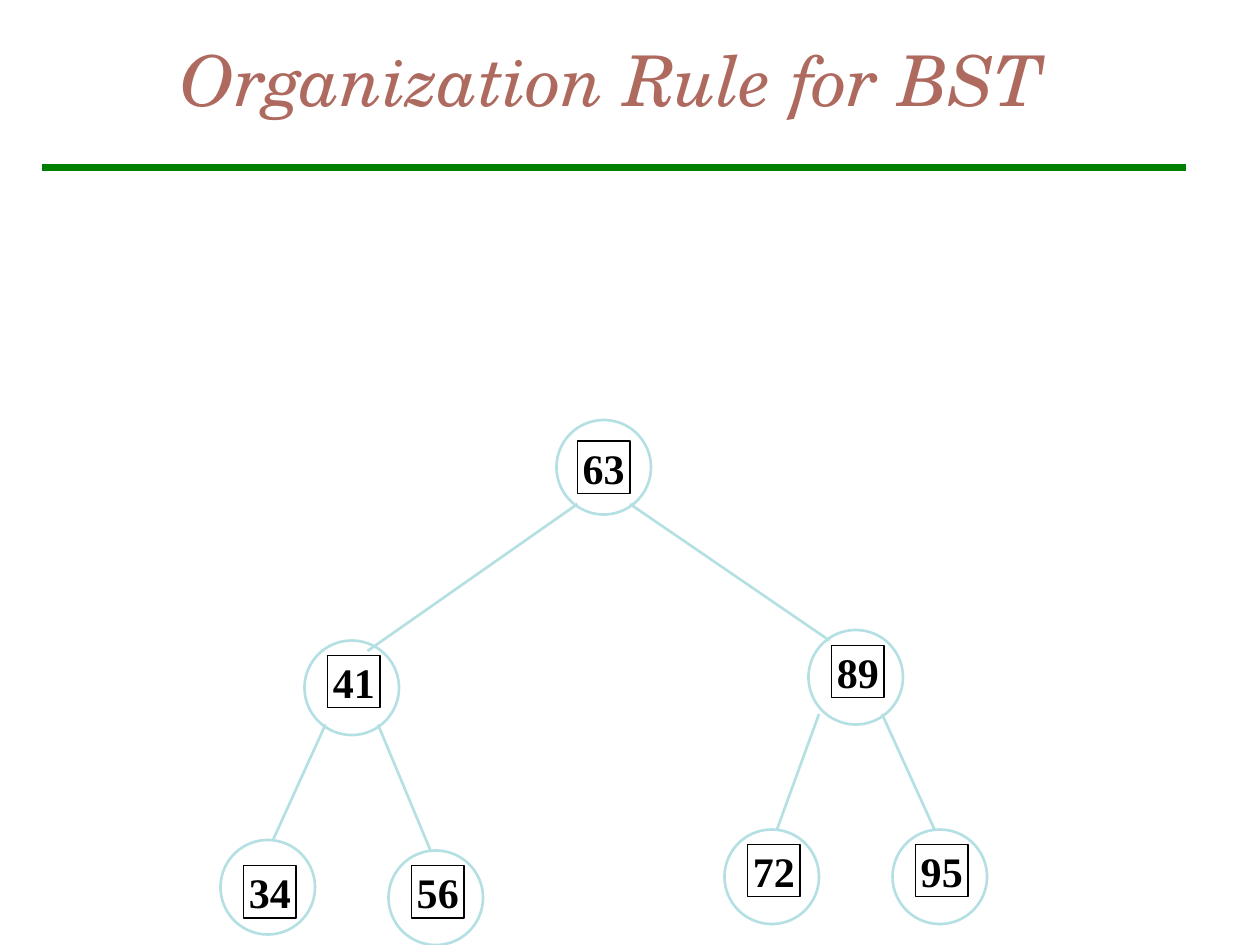
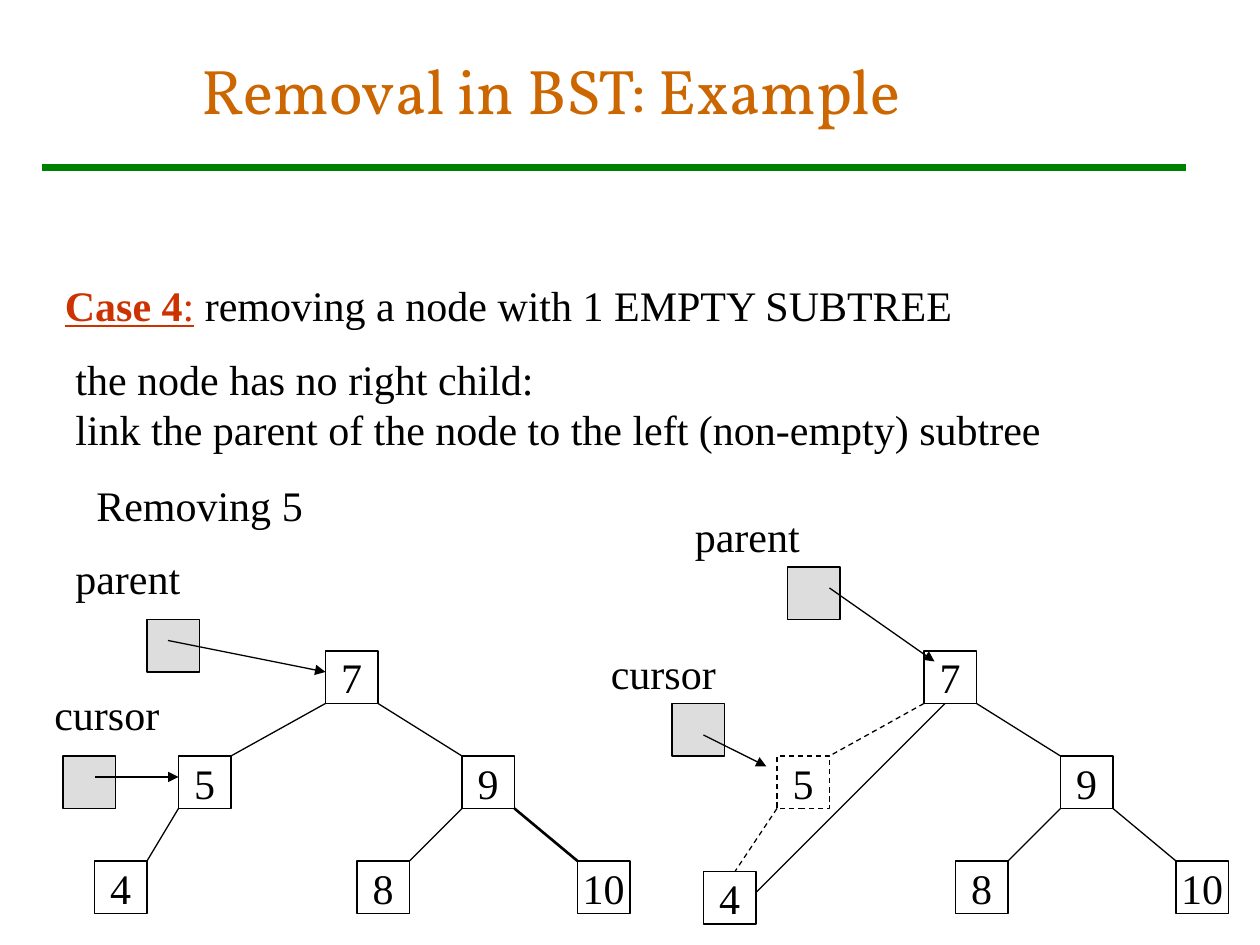
import lxml.etree
import pptx
import pptx.dml.color
import pptx.enum.dml
import pptx.enum.shapes
import pptx.enum.text
import pptx.oxml.ns
import pptx.util

Pt = pptx.util.Pt
qn = pptx.oxml.ns.qn
SHAPES = pptx.enum.shapes.MSO_SHAPE
ALIGN = pptx.enum.text.PP_ALIGN
ANCHOR = pptx.enum.text.MSO_ANCHOR
AUTO_SIZE = pptx.enum.text.MSO_AUTO_SIZE
DASH = pptx.enum.dml.MSO_LINE.DASH

COLORS = {
    "rule": "008000",
    "ring": "B5E0E3",
    "ink": "000000",
    "pointer": "DDDDDD",
    "case": "CC3300",
    "rule_title": "AF6A5F",
    "removal_title": "CC6600",
}
BODY_FONT = "Times New Roman"
BOX = 30
RING = 54
LABEL_SIZE = (78, 36)

ORGANIZATION_TITLE = {
    "text": "Organization Rule for BST", "place": (96, 0, 612, 90),
    "font": "TeX Gyre Schola", "size": 40, "color": "rule_title", "italic": True,
}
REMOVAL_TITLE = {
    "text": "Removal in BST: Example", "place": (108, 6, 612, 90),
    "font": "Vollkorn", "size": 36, "color": "removal_title", "italic": False,
}

KEY_BOXES = {
    "63": (330, 252), "41": (187.2, 374.5), "89": (475.2, 368.7), "34": (139.2, 494.6),
    "56": (235.2, 494.6), "72": (427.2, 482.5), "95": (523.2, 482.5),
}
KEY_RINGS = {
    "63": (318, 240), "41": (174, 366), "89": (462, 360), "34": (126, 480),
    "56": (222, 486), "72": (414, 474), "95": (510, 474),
}
RING_EDGES = [
    ("63", (12, 48), "41", (36, 6)),
    ("63", (42, 48), "89", (12, 6)),
    ("41", (12, 48), "34", (30, 0)),
    ("41", (42, 48), "56", (24, 0)),
    ("89", (6, 48), "72", (30, 0)),
    ("89", (42, 48), "95", (24, 0)),
]

NODES = {"7": (186, 372), "5": (102, 432), "9": (264, 432), "8": (204, 492), "10": (330, 492)}
LEFT_CHILDREN = [("7", "5"), ("9", "8")]
RIGHT_CHILDREN = [("7", "9"), ("9", "10")]
TREES = [
    {"shift": 0, "removed": None, "leaf": (54, 492), "bold_edge": ("9", "10"),
     "leaf_edges": [((102, 462), (84, 492), False)]},
    {"shift": 342, "removed": "5", "leaf": (402, 498), "bold_edge": None,
     "leaf_edges": [((444, 462), (420, 498), True), ((540, 402), (432, 510), False)]},
]
POINTERS = [
    {"label": "parent", "label_at": (36, 312), "box": (84, 354), "arrow": ((96, 366), (186, 384))},
    {"label": "cursor", "label_at": (24, 390), "box": (36, 432), "arrow": ((54, 444), (102, 444))},
    {"label": "parent", "label_at": (390, 288), "box": (450, 324), "arrow": ((474, 336), (534, 378))},
    {"label": "cursor", "label_at": (342, 366), "box": (384, 402), "arrow": ((402, 420), (438, 438))},
]
CASE_RUNS = [
    ("Case", True, True), (" ", False, True), ("4", True, True), (":", False, True),
    (" removing a node with 1 EMPTY SUBTREE", False, False),
]
EXPLANATION = [
    "the node has no right child:",
    "link the parent of the node to the left (non-empty) subtree",
]


def color(name):
    return pptx.dml.color.RGBColor.from_string(COLORS[name])


def format_font(font, size=24, name=BODY_FONT, ink="ink", bold=False, italic=False):
    font.size = Pt(size)
    font.name = name
    font.color.rgb = color(ink)
    font.bold = bold
    font.italic = italic


def format_line(line, ink, width, dashed=False):
    line.color.rgb = color(ink)
    line.width = Pt(width)
    if dashed:
        line.dash_style = DASH


def add_line(slide, start, end, ink="ink", width=0.75, dashed=False, arrow=False):
    connector = slide.shapes.add_connector(
        pptx.enum.shapes.MSO_CONNECTOR.STRAIGHT, *map(Pt, start + end))
    format_line(connector.line, ink, width, dashed)
    properties = connector.element.spPr
    if arrow:
        lxml.etree.SubElement(properties.find(qn("a:ln")), qn("a:tailEnd"), type="triangle")
    lxml.etree.SubElement(properties, qn("a:effectLst"))


def add_outline(slide, kind, place, size, ink="ink", width=0.75, fill=None, dashed=False):
    shape = slide.shapes.add_shape(kind, *map(Pt, place + (size, size)))
    shape.shadow.inherit = False
    if fill:
        shape.fill.solid()
        shape.fill.fore_color.rgb = color(fill)
    else:
        shape.fill.background()
    format_line(shape.line, ink, width, dashed)
    return shape


def add_key_box(slide, key, place, bold=False, dashed=False):
    shape = add_outline(slide, SHAPES.RECTANGLE, place, BOX, dashed=dashed)
    frame = shape.text_frame
    frame.word_wrap = False
    frame.vertical_anchor = ANCHOR.MIDDLE
    paragraph = frame.paragraphs[0]
    paragraph.text = key
    paragraph.alignment = ALIGN.CENTER
    format_font(paragraph.font, bold=bold)


def add_text(slide, place, lines):
    frame = slide.shapes.add_textbox(*map(Pt, place)).text_frame
    frame.word_wrap = False
    frame.auto_size = AUTO_SIZE.NONE
    for index, line in enumerate(lines):
        paragraph = frame.add_paragraph() if index else frame.paragraphs[0]
        paragraph.text = line
        paragraph.alignment = ALIGN.LEFT
        paragraph.line_spacing = Pt(29)
        format_font(paragraph.font)
    return frame


def add_titled_slide(presentation, title):
    slide = presentation.slides.add_slide(presentation.slide_layouts[5])
    add_line(slide, (24, 96), (678, 96), "rule", 4)
    shape = slide.shapes.title
    shape.left, shape.top, shape.width, shape.height = map(Pt, title["place"])
    frame = shape.text_frame
    frame.auto_size = AUTO_SIZE.NONE
    frame.word_wrap = True
    frame.vertical_anchor = ANCHOR.MIDDLE
    paragraph = frame.paragraphs[0]
    paragraph.text = title["text"]
    paragraph.alignment = ALIGN.LEFT
    format_font(paragraph.font, title["size"], title["font"], title["color"], italic=title["italic"])
    return slide


def offset(place, distance):
    return place[0] + distance[0], place[1] + distance[1]


def build_organization(presentation):
    slide = add_titled_slide(presentation, ORGANIZATION_TITLE)
    for key, place in KEY_BOXES.items():
        add_key_box(slide, key, place, bold=True)
    for place in KEY_RINGS.values():
        add_outline(slide, SHAPES.OVAL, place, RING, "ring", 1.5)
    for parent, start, child, end in RING_EDGES:
        add_line(slide, offset(KEY_RINGS[parent], start), offset(KEY_RINGS[child], end), "ring", 1.5)


def add_tree(slide, tree):
    nodes = {key: offset(place, (tree["shift"], 0)) for key, place in NODES.items()}
    for children, start_x, end_x in ((LEFT_CHILDREN, 0, BOX), (RIGHT_CHILDREN, BOX, 0)):
        for parent, child in children:
            add_line(slide, offset(nodes[parent], (start_x, BOX)), offset(nodes[child], (end_x, 0)),
                     width=1.5 if (parent, child) == tree["bold_edge"] else 0.75,
                     dashed=child == tree["removed"])
    for key, place in nodes.items():
        add_key_box(slide, key, place, dashed=key == tree["removed"])
    add_key_box(slide, "4", tree["leaf"])
    for start, end, dashed in tree["leaf_edges"]:
        add_line(slide, start, end, dashed=dashed)


def build_removal(presentation):
    slide = add_titled_slide(presentation, REMOVAL_TITLE)
    for tree in TREES:
        add_tree(slide, tree)
    for pointer in POINTERS:
        add_outline(slide, SHAPES.RECTANGLE, pointer["box"], BOX, fill="pointer")
        add_text(slide, pointer["label_at"] + LABEL_SIZE, [pointer["label"]])
        add_line(slide, *pointer["arrow"], arrow=True)
    add_text(slide, (36, 198, 572, 65), EXPLANATION)
    add_text(slide, (48, 270, 138, 36), ["Removing 5"])
    paragraph = add_text(slide, (30, 156, 528, 36), [""]).paragraphs[0]
    for text, bold, marked in CASE_RUNS:
        run = paragraph.add_run()
        run.text = text
        format_font(run.font, ink="case" if marked else "ink", bold=bold)
        run.font.underline = marked


def main():
    presentation = pptx.Presentation()
    presentation.slide_width = Pt(720)
    presentation.slide_height = Pt(540)
    build_organization(presentation)
    build_removal(presentation)
    presentation.save("out.pptx")


if __name__ == "__main__":
    main()
